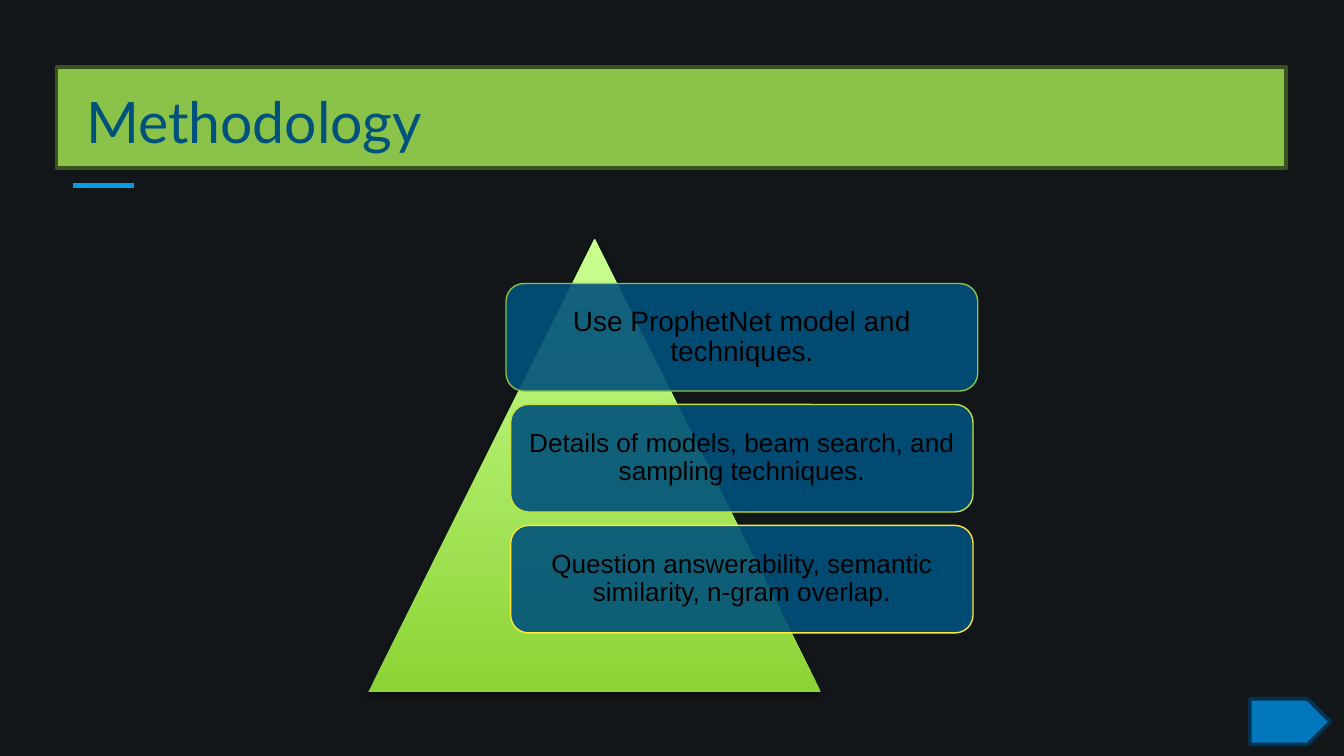
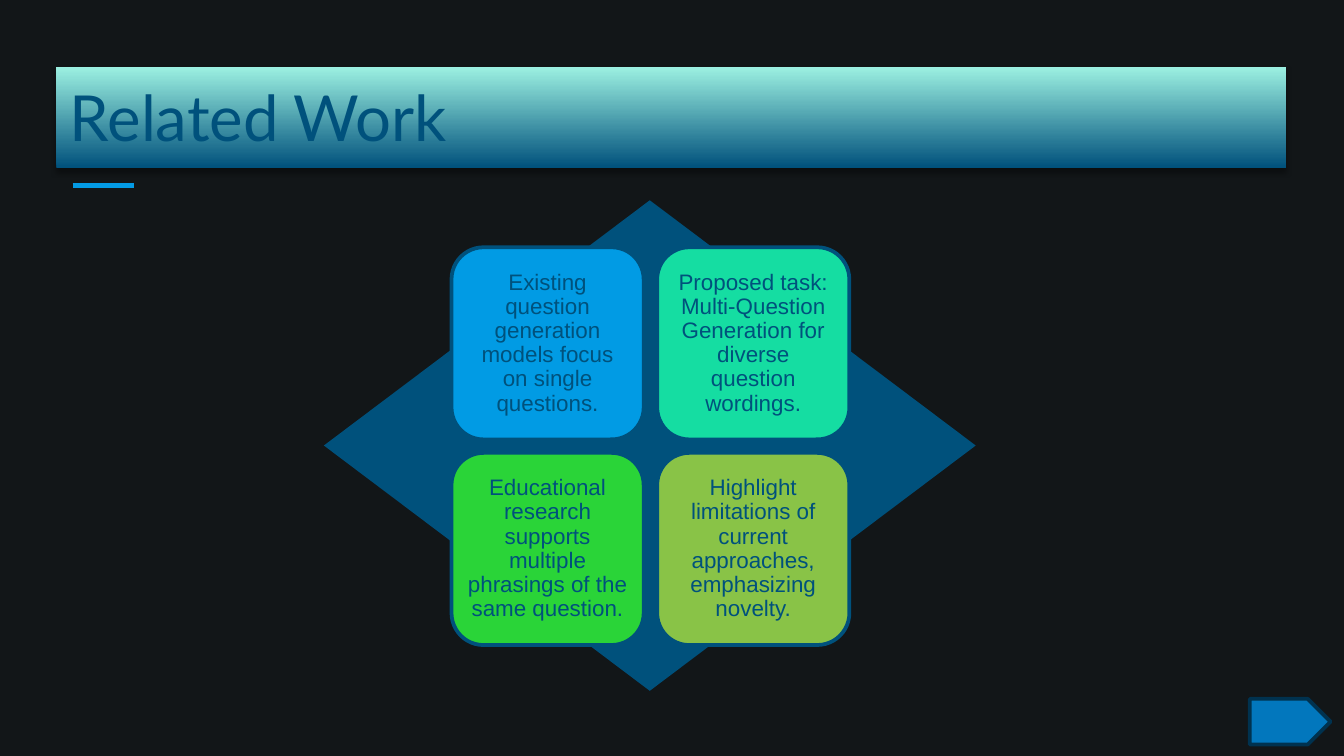
from dataclasses import dataclass

from lxml.etree import SubElement
from pptx import Presentation
from pptx.dml.color import RGBColor
from pptx.enum.shapes import MSO_CONNECTOR, MSO_SHAPE
from pptx.enum.text import MSO_ANCHOR, MSO_AUTO_SIZE, PP_ALIGN
from pptx.oxml.ns import qn
from pptx.util import Inches, Pt


@dataclass(frozen=True)
class Theme:
    background: str = "121618"
    navy: str = "00517C"
    black: str = "000000"
    accent: str = "039BE5"
    arrow: str = "0277BD"
    arrow_edge: str = "00324F"
    band_green: str = "8BC34A"
    band_edge: str = "3A521F"
    band_gradient: tuple = ("00517C", "9CF0E1")
    pyramid_gradient: tuple = ("8CD435", "CAFF91")
    step_edges: tuple = ("8BC248", "C5E33C", "FFE936")
    quadrants: tuple = ("019BE4", "15DDA2", "2AD438", "89C347")
    title_font: str = "Lato"
    body_font: str = "Arial"
    methodology_size: float = 30.6
    related_size: float = 34
    first_step_size: float = 15
    step_size: float = 14
    quadrant_size: float = 12


THEME = Theme()


def style(shape, fill, edge=None, edge_width=2, alpha=None, shadow=False):
    """Paint a shape; a pair of colours makes a gradient from bottom to top."""
    if isinstance(fill, tuple):
        shape.fill.gradient()
        shape.fill.gradient_angle = 90
        for stop, color in zip(shape.fill.gradient_stops, fill):
            stop.color.rgb = RGBColor.from_string(color)
    else:
        shape.fill.solid()
        shape.fill.fore_color.rgb = RGBColor.from_string(fill)
    if alpha is not None:
        color = shape._element.spPr.find(qn("a:solidFill"))[0]
        SubElement(color, qn("a:alpha"), val=str(alpha * 1000))
    if edge:
        shape.line.color.rgb = RGBColor.from_string(edge)
        shape.line.width = Pt(edge_width)
    else:
        shape.line.fill.background()
    shape.shadow.inherit = False
    if shadow:
        effects = shape._element.spPr.find(qn("a:effectLst"))
        outer = SubElement(effects, qn("a:outerShdw"), blurRad=str(Pt(3.1)),
                           dist=str(Pt(1.8)), dir="5400000", rotWithShape="0")
        color = SubElement(outer, qn("a:srgbClr"), val=THEME.black)
        SubElement(color, qn("a:alpha"), val="35000")


def write(shape, text, font, size, color, inset, anchor=MSO_ANCHOR.MIDDLE,
          align=PP_ALIGN.CENTER, spacing=0.9):
    frame = shape.text_frame
    frame.word_wrap = True
    frame.auto_size = MSO_AUTO_SIZE.NONE
    frame.vertical_anchor = anchor
    frame.margin_left = frame.margin_right = Inches(inset)
    frame.margin_top = frame.margin_bottom = Inches(inset)
    paragraph = frame.paragraphs[0]
    paragraph.alignment = align
    paragraph.line_spacing = spacing
    run = paragraph.add_run()
    run.text = text
    run.font.name = font
    run.font.size = Pt(size)
    run.font.color.rgb = RGBColor.from_string(color)


prs = Presentation()
prs.slide_width = Inches(10)
prs.slide_height = prs.slide_width * 9 // 16
backdrop = prs.slide_master.background.fill
backdrop.solid()
backdrop.fore_color.rgb = RGBColor.from_string(THEME.background)
title_only = prs.slide_layouts[5]

# Title band, accent line and forward arrow on both slides
slides = []
for heading, size in (("Methodology", THEME.methodology_size),
                      ("Related Work", THEME.related_size)):
    slide = prs.slides.add_slide(title_only)
    slides.append(slide)
    title = slide.shapes.title
    title.left, title.top = Inches(0.42), Inches(0.5)
    title.width, title.height = Inches(9.15), Inches(0.75)
    write(title, heading, THEME.title_font, size, THEME.navy, 0.1,
          MSO_ANCHOR.BOTTOM, PP_ALIGN.LEFT, 1)

    accent = slide.shapes.add_connector(
        MSO_CONNECTOR.STRAIGHT, Inches(0.54), Inches(1.38), Inches(1), Inches(1.38))
    accent.line.color.rgb = RGBColor.from_string(THEME.accent)
    accent.line.width = Pt(3)
    SubElement(accent._element.spPr, qn("a:effectLst"))

methodology, related_work = slides

# Methodology: three steps over a pyramid
style(methodology.shapes.title, THEME.band_green, THEME.band_edge)
methodology.shapes.title.text_frame.margin_left = Inches(0.22)
pyramid = methodology.shapes.add_shape(
    MSO_SHAPE.ISOSCELES_TRIANGLE, Inches(2.74), Inches(1.78), Inches(3.37), Inches(3.37))
style(pyramid, THEME.pyramid_gradient, shadow=True)

steps = (
    ("Use ProphetNet model and techniques.", 3.51, THEME.first_step_size),
    ("Details of models, beam search, and sampling techniques.", 3.44, THEME.step_size),
    ("Question answerability, semantic similarity, n-gram overlap.", 3.44, THEME.step_size),
)
STEP_CENTER, STEP_TOP, STEP_PITCH = 5.52, 2.11, 0.9
for row, ((text, width, size), edge) in enumerate(zip(steps, THEME.step_edges)):
    step = methodology.shapes.add_shape(
        MSO_SHAPE.ROUNDED_RECTANGLE, Inches(STEP_CENTER - width / 2),
        Inches(STEP_TOP + row * STEP_PITCH), Inches(width), Inches(0.8))
    style(step, THEME.navy, edge, 0.75, alpha=90)
    write(step, text, THEME.body_font, size, THEME.black, 0.06)

# Related Work: four quadrants over a diamond
style(related_work.shapes.title, THEME.band_gradient, shadow=True)
diamond = related_work.shapes.add_shape(
    MSO_SHAPE.DIAMOND, Inches(2.41), Inches(1.49), Inches(4.85), Inches(3.65))
style(diamond, THEME.navy)

findings = (
    "Existing question generation models focus on single questions.",
    "Proposed task: Multi-Question Generation for diverse question wordings.",
    "Educational research supports multiple phrasings of the same question.",
    "Highlight limitations of current approaches, emphasizing novelty.",
)
QUADRANT_LEFT, QUADRANT_TOP, QUADRANT_SIDE, QUADRANT_PITCH = 3.36, 1.84, 1.43, 1.53
for index, (text, color) in enumerate(zip(findings, THEME.quadrants)):
    row, column = divmod(index, 2)
    quadrant = related_work.shapes.add_shape(
        MSO_SHAPE.ROUNDED_RECTANGLE,
        Inches(QUADRANT_LEFT + column * QUADRANT_PITCH),
        Inches(QUADRANT_TOP + row * QUADRANT_PITCH),
        Inches(QUADRANT_SIDE), Inches(QUADRANT_SIDE))
    style(quadrant, color, THEME.navy)
    write(quadrant, text, THEME.body_font, THEME.quadrant_size, THEME.navy, 0.05)

# Forward arrow in the corner of both slides
for slide in slides:
    forward = slide.shapes.add_shape(
        MSO_SHAPE.PENTAGON, Inches(9.3), Inches(5.2), Inches(0.6), Inches(0.34))
    style(forward, THEME.arrow, THEME.arrow_edge)

prs.save("out.pptx")
